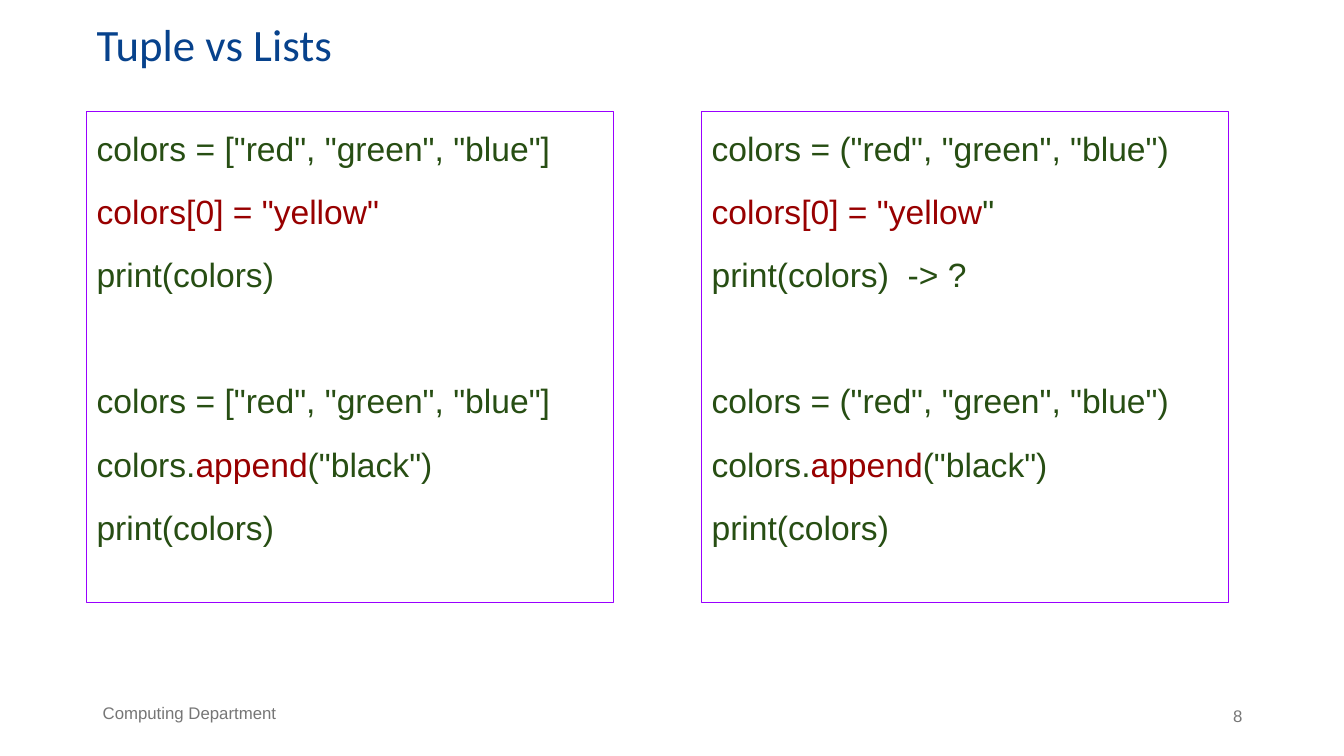
from pptx import Presentation
from pptx.dml.color import RGBColor
from pptx.enum.shapes import MSO_SHAPE
from pptx.enum.text import MSO_ANCHOR, PP_ALIGN
from pptx.util import Pt

PX = 9144  # 100 px to the inch
GREEN, RED, GREY = "274E13", "980000", "767676"
BLUE, PURPLE = "07428C", "9900FF"


def px(*lengths):
    return [n * PX for n in lengths]


def rgb(hex_color):
    return RGBColor.from_string(hex_color)


def add_run(p, text, size, color, font="Arial"):
    r = p.add_run()
    r.text = text
    r.font.size = Pt(size)
    r.font.name = font
    r.font.color.rgb = rgb(color)


def set_frame(tf, inset, anchor=MSO_ANCHOR.TOP):
    """Wrap the text and set its insets and anchor."""
    tf.word_wrap = True
    tf.vertical_anchor = anchor
    tf.margin_left = tf.margin_right = 10 * PX
    tf.margin_top = tf.margin_bottom = inset * PX


def add_label(s, box, text, size, color, font="Arial", inset=5,
              anchor=MSO_ANCHOR.TOP, align=PP_ALIGN.LEFT, spacing=1.0):
    """Add a text box with one line of text."""
    tf = s.shapes.add_textbox(*px(*box)).text_frame
    set_frame(tf, inset, anchor)
    p = tf.paragraphs[0]
    p.alignment = align
    p.line_spacing = spacing
    add_run(p, text, size, color, font)


def add_code_box(s, left, groups):
    """Add an outlined box; groups of code lines are set one line apart."""
    sp = s.shapes.add_shape(MSO_SHAPE.RECTANGLE, *px(left, 111, 523, 487))
    sp.shadow.inherit = False
    sp.fill.background()
    sp.line.color.rgb = rgb(PURPLE)
    sp.line.width = Pt(0.75)
    tf = sp.text_frame
    set_frame(tf, 10)
    p = tf.paragraphs[0]
    for g, group in enumerate(groups):
        for i, line in enumerate(group):
            if g or i:
                p = tf.add_paragraph()
                p.space_before = Pt(12 if i else 57)
            p.alignment = PP_ALIGN.LEFT
            p.line_spacing = 1.15
            for text, color in line:
                add_run(p, text, 24, color)


def code_groups(opening, closing, assignment, first_print):
    colors = [(f'colors = {opening}"red", "green", "blue"{closing}', GREEN)]
    append = [("colors.", GREEN), ("append", RED), ('("black")', GREEN)]
    return [
        [colors, assignment, [(first_print, GREEN)]],
        [colors, append, [("print(colors)", GREEN)]],
    ]


def main():
    prs = Presentation()
    prs.slide_width, prs.slide_height = px(1333, 750)
    s = prs.slides.add_slide(prs.slide_layouts[6])

    add_label(s, (86, 17, 1098, 63), "Tuple vs Lists", 32, BLUE, "Calibri",
              inset=10, anchor=MSO_ANCHOR.BOTTOM, spacing=1.08)
    add_code_box(s, 86, code_groups(
        "[", "]", [('colors[0] = "yellow"', RED)], "print(colors)"))
    add_code_box(s, 696, code_groups(
        "(", ")", [('colors[0] = "yellow', RED), ('"', GREEN)],
        "print(colors)  -> ?"))
    add_label(s, (92, 694, 339, 41), "Computing Department", 12, GREY,
              spacing=0.9)
    add_label(s, (1019, 695, 223, 40), "8", 12, GREY, align=PP_ALIGN.RIGHT)

    prs.save("out.pptx")


if __name__ == "__main__":
    main()
